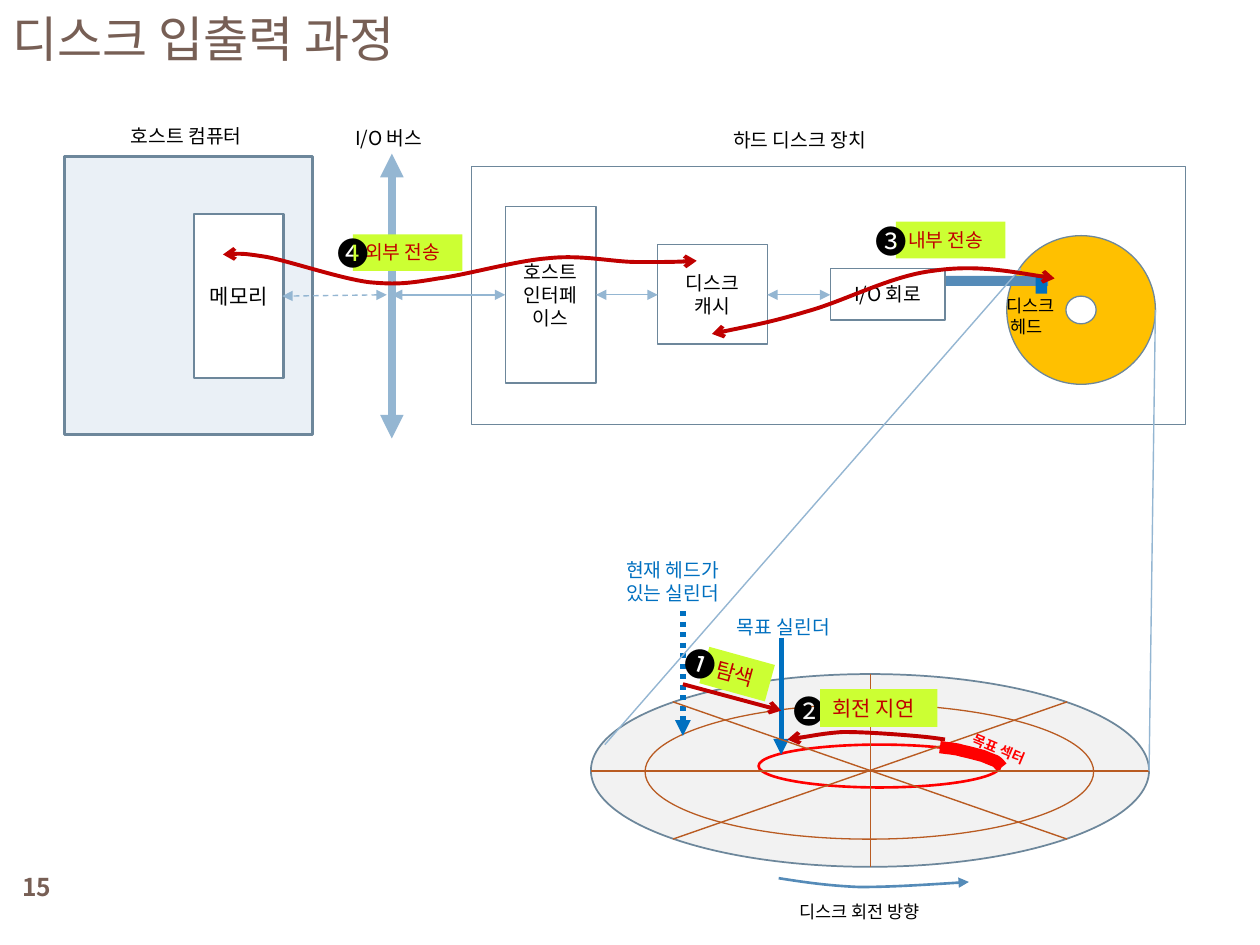
from lxml import etree
from pptx import Presentation
from pptx.dml.color import RGBColor
from pptx.enum.dml import MSO_LINE
from pptx.enum.shapes import MSO_CONNECTOR, MSO_SHAPE
from pptx.enum.text import MSO_ANCHOR, MSO_AUTO_SIZE, PP_ALIGN
from pptx.oxml.ns import qn
from pptx.util import Inches, Pt

RECT, OVAL = MSO_SHAPE.RECTANGLE, MSO_SHAPE.OVAL
DASH, DOT = MSO_LINE.DASH, MSO_LINE.ROUND_DOT
FONT = "Noto Sans CJK KR"
BLACK, WHITE, BROWN, EDGE = "000000", "FFFFFF", "775F55", "6D879B"
RED, DARK_RED, BLUE, STEEL, SKY = "FF0000", "C00000", "0070C0", "558BB8", "94B6D2"
GRAY, RUST, LIME = "F2F2F2", "B95B22", "CCFF33"
rgb = RGBColor.from_string

# Grid of 100 columns by 75 rows
prs = Presentation()
prs.slide_width, prs.slide_height = Inches(10), Inches(7.5)
COL, ROW = prs.slide_width / 100, prs.slide_height / 75
s = prs.slides.add_slide(prs.slide_layouts[6])


def stroke(shape, color, width, dash=None, head=None, tail=None):
    shape.line.color.rgb = rgb(color)
    shape.line.width = Pt(width)
    if dash:
        shape.line.dash_style = dash
    ln = shape.line._get_or_add_ln()
    for tag, kind in (("a:headEnd", head), ("a:tailEnd", tail)):
        if kind:
            etree.SubElement(ln, qn(tag)).set("type", kind)


def write(shape, text, size, color, bold=False, align=PP_ALIGN.LEFT, fit=True):
    tf = shape.text_frame
    tf.text = text
    tf.word_wrap = not fit
    tf.auto_size = MSO_AUTO_SIZE.SHAPE_TO_FIT_TEXT if fit else MSO_AUTO_SIZE.NONE
    tf.vertical_anchor = MSO_ANCHOR.TOP if fit else MSO_ANCHOR.MIDDLE
    for p in tf.paragraphs:
        p.alignment = align
        for r in p.runs:
            r.font.size, r.font.bold = Pt(size), bold
            r.font.color.rgb = rgb(color)
            r.font.name = FONT
            etree.SubElement(r._r.get_or_add_rPr(), qn("a:ea")).set("typeface", FONT)


# Title and page number
for x, y, w, h, text, size, bold, align in [
    (0, 0.1, 89.2, 5.8, "디스크 입출력 과정", 28, False, PP_ALIGN.LEFT),
    (0, 68.3, 5.8, 4.2, "15", 14, True, PP_ALIGN.CENTER),
]:
    tb = s.shapes.add_textbox(int(x * COL), int(y * ROW), int(w * COL), int(h * ROW))
    write(tb, text, size, BROWN, bold, align, fit=False)

# Host, drive parts and the enlarged platter
for kind, x, y, w, h, fill, line, width, text, size in [
    (RECT, 5.1, 12.4, 19.7, 22.1, "EAF0F6", EDGE, 1.5, "", 0),
    (RECT, 15.4, 17, 7.1, 13, WHITE, EDGE, 1.5, "메모리", 12),
    (OVAL, 79.9, 18.7, 11.8, 11.8, "FFC000", EDGE, 0.75, "", 0),
    (OVAL, 84.6, 23.5, 2.4, 2.2, WHITE, EDGE, 0.75, "", 0),
    (RECT, 75.1, 21.9, 8.1, 0.8, STEEL, None, 0, "", 0),
    (RECT, 82.2, 21.8, 0.9, 1.5, BLUE, None, 0, "", 0),
    (RECT, 40.1, 16.4, 7.2, 14, None, EDGE, 0.75, "호스트\n인터페이스", 11),
    (RECT, 52.2, 19.4, 8.7, 7.9, None, EDGE, 0.75, "디스크\n캐시", 11),
    (RECT, 65.9, 21.3, 9.1, 4.1, None, EDGE, 0.75, "I/O 회로", 11),
    (RECT, 37.4, 13.2, 56.7, 20.5, None, EDGE, 0.75, "", 0),
    (OVAL, 46.9, 53.5, 44.3, 15.3, GRAY, EDGE, 1, "", 0),
    (OVAL, 51.2, 55.9, 35.6, 10.7, GRAY, RUST, 0.75, "", 0),
    (OVAL, 60.2, 59.1, 19.2, 3.4, GRAY, RED, 1.5, "", 0),
]:
    sp = s.shapes.add_shape(kind, int(x * COL), int(y * ROW), int(w * COL), int(h * ROW))
    sp.shadow.inherit = False
    if fill:
        sp.fill.solid()
        sp.fill.fore_color.rgb = rgb(fill)
    else:
        sp.fill.background()
    if line:
        stroke(sp, line, width)
    else:
        sp.line.fill.background()
    if text:
        write(sp, text, size, BLACK, align=PP_ALIGN.CENTER, fit=False)

# Bus, links, cylinder arrows, spokes and zoom lines
TRI = "triangle"
for x1, y1, x2, y2, color, width, dash, head, tail in [
    (31.1, 12.2, 31.1, 34.8, SKY, 4.5, None, TRI, TRI),
    (30.7, 23.4, 22.4, 23.5, SKY, 0.79, DASH, TRI, TRI),
    (40.1, 23.4, 31.1, 23.4, SKY, 0.79, None, TRI, TRI),
    (47.3, 23.4, 52.2, 23.4, SKY, 0.75, None, TRI, TRI),
    (65.9, 23.4, 60.9, 23.4, SKY, 0.75, None, TRI, TRI),
    (54.2, 48.5, 54.2, 58.4, BLUE, 3, DOT, None, TRI),
    (62, 50.6, 62, 59.9, BLUE, 3, None, None, TRI),
    (54.2, 54.3, 62, 56.4, DARK_RED, 2.25, None, None, "arrow"),
    (46.9, 61.2, 91.2, 61.2, RUST, 0.79, None, None, None),
    (53.4, 66.6, 84.7, 55.7, RUST, 0.79, None, None, None),
    (69.1, 68.8, 69.1, 53.5, RUST, 0.79, None, None, None),
    (84.7, 66.6, 53.4, 55.7, RUST, 0.79, None, None, None),
    (81, 21.3, 48, 59.1, SKY, 0.79, None, None, None),
    (91.7, 24.6, 91.2, 61.2, SKY, 0.79, None, None, None),
]:
    cx = s.shapes.add_connector(MSO_CONNECTOR.STRAIGHT, int(x1 * COL), int(y1 * ROW),
                                int(x2 * COL), int(y2 * ROW))
    stroke(cx, color, width, dash, head, tail)
    etree.SubElement(cx._element.spPr, qn("a:effectLst"))

# Curves: a start point, then three points for each Bézier segment
for color, width, head, tail, points in [
    (DARK_RED, 2.25, "arrow", "arrow", [  # external transfer
        (55.3, 20.7), (53.9, 20.8), (52.6, 20.8), (50.6, 20.8), (48.6, 20.8),
        (46.2, 20.2), (43.5, 20.5), (40.9, 20.7), (37.1, 21.8), (34.8, 22.1),
        (32.4, 22.5), (31.5, 22.6), (29.3, 22.4), (27, 22.1), (23.2, 20.8),
        (21.2, 20.4), (19.3, 20.1), (18.5, 20.1), (17.7, 20.2)]),
    (DARK_RED, 2.25, "arrow", "arrow", [  # internal transfer
        (83.7, 22.1), (80.5, 21.6), (77.3, 21), (74, 21.5), (70.7, 21.9),
        (67, 23.9), (64.1, 24.7), (61.1, 25.6), (58.8, 26), (56.5, 26.5)]),
    (DARK_RED, 2.25, "arrow", None, [  # rotational delay
        (62.5, 58.7), (64, 58.5), (65.4, 58.2), (66.9, 58.1), (68.3, 58.1),
        (69.8, 58.2), (71.2, 58.3), (72.5, 58.4), (73.8, 58.5), (75, 58.7)]),
    (STEEL, 1.5, None, TRI, [  # direction of rotation
        (61.8, 69.7), (63.7, 70), (65.7, 70.3), (68.2, 70.4), (70.7, 70.4),
        (73.8, 70.2), (76.9, 70)]),
    (RED, 7, None, None, [  # target sector
        (74.6, 59.3), (75.2, 59.4), (75.8, 59.4), (76.4, 59.6), (76.9, 59.7),
        (77.6, 59.9), (78, 60), (78.5, 60.2), (78.7, 60.3), (79, 60.4),
        (79.2, 60.5), (79.5, 60.9), (79.5, 60.9)]),
]:
    pts = [(int(x * COL), int(y * ROW)) for x, y in points]
    fb = s.shapes.build_freeform(*pts[0])
    fb.add_line_segments(pts[1:], close=False)
    sp = fb.convert_to_shape()
    sp.shadow.inherit = False
    sp.fill.background()
    stroke(sp, color, width, None, head, tail)
    outline = sp._element.find(".//" + qn("a:path"))
    steps = outline.findall(qn("a:lnTo"))
    for i in range(0, len(steps), 3):
        bezier = etree.SubElement(outline, qn("a:cubicBezTo"))
        for step in steps[i:i + 3]:
            bezier.append(step[0])
            outline.remove(step)

# Labels and step numbers
for x, y, w, h, text, size, color, fill, turn in [
    (9.4, 9.4, 11.8, 2.9, "호스트 컴퓨터", 11, BLACK, None, 0),
    (27.2, 9.5, 7.9, 2.9, "I/O 버스", 11, BLACK, None, 0),
    (57.2, 9.7, 13.9, 2.9, "하드 디스크 장치", 11, BLACK, None, 0),
    (78.9, 22.9, 6.2, 4.4, "디스크\n 헤드", 10, BLACK, None, 0),
    (57.5, 48.3, 10.3, 2.9, "목표 실린더", 11, BLUE, None, 0),
    (48.7, 43.8, 10.8, 4.7, "현재 헤드가\n있는 실린더", 11, BLUE, None, 0),
    (76.1, 58.4, 6.9, 2.4, "목표 섹터", 8, RED, None, 22.8),
    (62.5, 71, 12.8, 2.7, "디스크 회전 방향", 10, BLACK, None, 0),
    (71.1, 17.6, 8.7, 2.9, "내부 전송", 11, DARK_RED, LIME, 0),
    (28, 18.6, 8.7, 2.9, "외부 전송", 11, DARK_RED, LIME, 0),
    (55.8, 52, 5.4, 3, "탐색", 12, DARK_RED, LIME, 15.5),
    (53.4, 50.7, 4.3, 4, "❶", 18, BLACK, None, 19.2),
    (62, 54.4, 4.3, 4, "❷", 18, BLACK, None, 0),
    (68.5, 17.1, 4.3, 4, "❸", 18, BLACK, None, 0),
    (25.8, 18.1, 4.3, 4, "❹", 18, BLACK, None, 0),
    (65.1, 54.7, 9.3, 3, "회전 지연", 12, DARK_RED, LIME, 0),
]:
    tb = s.shapes.add_textbox(int(x * COL), int(y * ROW), int(w * COL), int(h * ROW))
    tb.rotation = turn
    if fill:
        tb.fill.solid()
        tb.fill.fore_color.rgb = rgb(fill)
    write(tb, text, size, color, bold=color == RED)

prs.save("out.pptx")
